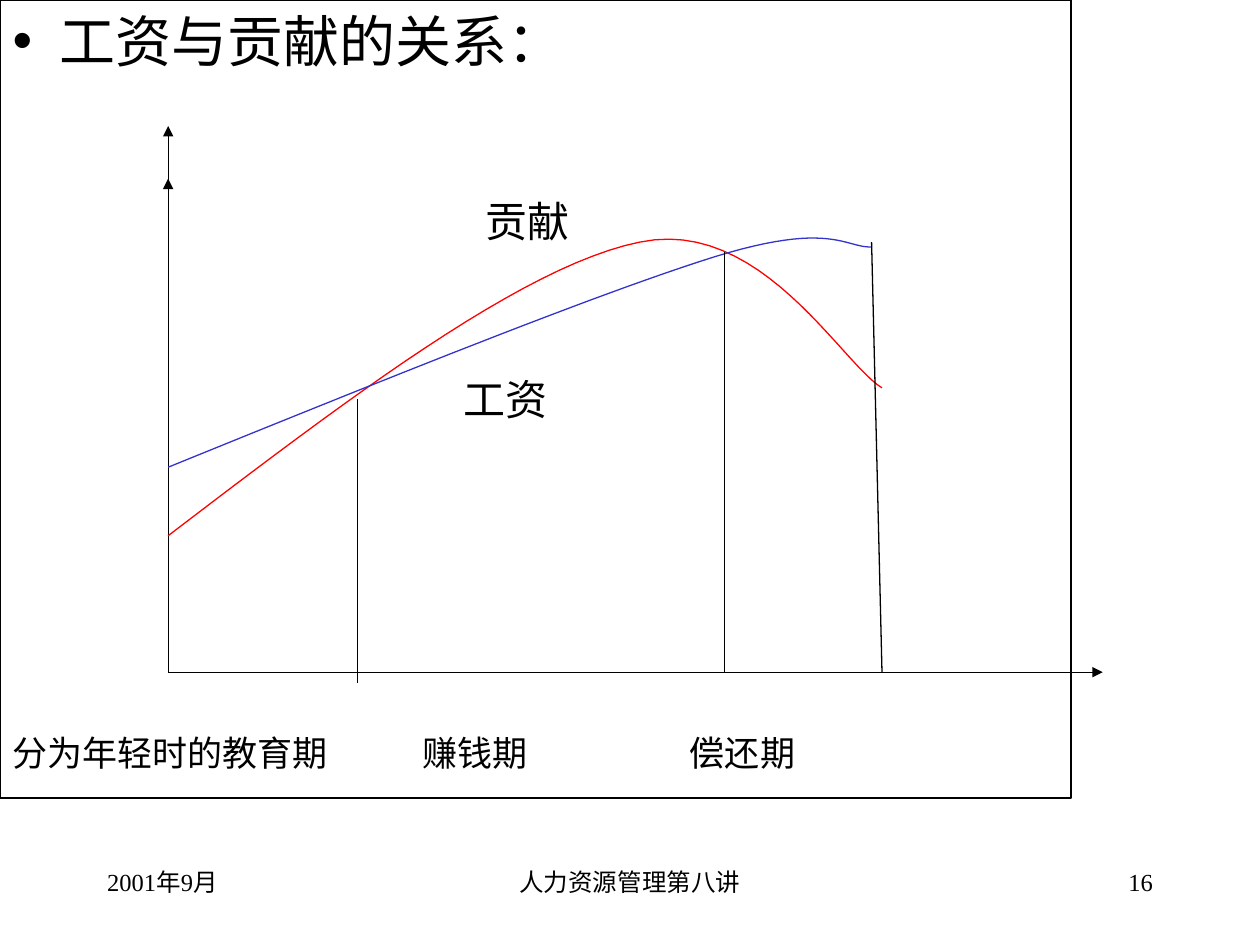
from dataclasses import dataclass

from lxml import etree
from pptx import Presentation
from pptx import util as u
from pptx.dml.color import RGBColor
from pptx.enum import shapes, text
from pptx.oxml.ns import qn

FONT = "Times New Roman"
BLACK, RED, BLUE = "000000", "FF0000", "3333CC"
LEFT, CENTER, RIGHT = text.PP_ALIGN.LEFT, text.PP_ALIGN.CENTER, text.PP_ALIGN.RIGHT
ORIGIN_X, ORIGIN_Y = 3.39, 13.55  # crossing of the axes, cm
PERIOD_TOP, FOOTER_TOP = 14.62, 17.36
CURVE_STEPS = 24


@dataclass
class Line:
    x1: float
    y1: float
    x2: float
    y2: float
    arrow: bool = False


@dataclass
class Label:
    words: str
    left: float
    top: float
    width: float
    size: int
    align: text.PP_ALIGN = LEFT


@dataclass
class Curve:
    color: str
    points: list  # start point, then three points for each Bezier section


AXES = [
    Line(ORIGIN_X, ORIGIN_Y, 22.23, ORIGIN_Y, arrow=True),
    Line(ORIGIN_X, ORIGIN_Y, ORIGIN_X, 2.54, arrow=True),
    Line(ORIGIN_X, 13.34, ORIGIN_X, 3.6, arrow=True),
]

BOUNDARIES = [
    Line(7.2, 8.05, 7.2, 8.89),
    Line(7.2, 8.68, 7.2, 13.76),
    Line(14.6, 5.08, 14.6, ORIGIN_Y),
    Line(17.57, 4.88, 17.78, ORIGIN_Y),
]

CURVES = [
    Curve(RED, [(ORIGIN_X, 10.8), (6.96, 8.08), (10.52, 5.36), (12.9, 4.88),
                (15.32, 4.37), (16.94, 7.29), (17.78, 7.82)]),
    Curve(BLUE, [(ORIGIN_X, 9.42), (7.7, 7.67), (12.04, 5.92), (14.4, 5.18),
                 (16.76, 4.45), (17.04, 5.0), (17.57, 4.98)]),
]

LABELS = [
    # curve names
    Label("工资", 9.1, 7.41, 3.39, 24),
    Label("贡献", 9.53, 3.81, 2.75, 24),
    # periods below the horizontal axis
    Label("分为年轻时的教育期", 0, PERIOD_TOP, 8, 20),
    Label("赚钱期", 8.26, PERIOD_TOP, 3.5, 20),
    Label("偿还期", 13.66, PERIOD_TOP, 3.5, 20),
    # footer
    Label("人力资源管理第八讲", 8.68, FOOTER_TOP, 8.04, 14, CENTER),
    Label("16", 18.2, FOOTER_TOP, 5.29, 14, RIGHT),
    Label("2001年9月", 1.91, FOOTER_TOP, 5.29, 14),
]


def rgb(color: str) -> RGBColor:
    return RGBColor.from_string(color)


def write(para, words: str, *, size: int, align=LEFT) -> None:
    para.alignment = align
    para.space_before = u.Pt(0)
    span = para.add_run()
    span.text = words
    span.font.size = u.Pt(size)
    span.font.name = FONT
    span.font.color.rgb = rgb(BLACK)


def style_line(line, color: str) -> None:
    line.color.rgb = rgb(color)
    line.width = u.Pt(0.75)


def set_bullet(para, bullet: str, indent: float) -> None:
    props = para._p.get_or_add_pPr()
    props.set("marL", str(u.Cm(indent)))
    props.set("indent", str(-u.Cm(indent)))
    etree.SubElement(props, qn("a:buChar"), char=bullet)


def draw_line(slide, item: Line) -> None:
    ends = [u.Cm(value) for value in (item.x1, item.y1, item.x2, item.y2)]
    connector = slide.shapes.add_connector(shapes.MSO_CONNECTOR.STRAIGHT, *ends)
    style_line(connector.line, BLACK)
    if item.arrow:
        etree.SubElement(connector.line._get_or_add_ln(), qn("a:tailEnd"), type="triangle")
    etree.SubElement(connector._element.spPr, qn("a:effectLst"))


def bezier(controls: list, t: float) -> tuple:
    weights = ((1 - t) ** 3, 3 * t * (1 - t) ** 2, 3 * t**2 * (1 - t), t**3)
    return tuple(u.Cm(sum(w * value for w, value in zip(weights, axis)))
                 for axis in zip(*controls))


def draw_curve(slide, curve: Curve) -> None:
    start, *points = [
        bezier(curve.points[first:first + 4], step / CURVE_STEPS)
        for first in range(0, len(curve.points) - 1, 3)
        for step in range(CURVE_STEPS + 1)
    ]
    builder = slide.shapes.build_freeform(*start)
    builder.add_line_segments(points, close=False)
    shape = builder.convert_to_shape()
    shape.shadow.inherit = False
    shape.fill.background()
    style_line(shape.line, curve.color)


def draw_label(slide, label: Label) -> None:
    box = slide.shapes.add_textbox(
        u.Cm(label.left), u.Cm(label.top), u.Cm(label.width), u.Cm(1.27))
    box.text_frame.word_wrap = True
    write(box.text_frame.paragraphs[0], label.words, size=label.size, align=label.align)


def fill_body(body) -> None:
    body.left, body.top = u.Cm(0), u.Cm(0)
    body.width, body.height = u.Cm(21.59), u.Cm(16.09)
    style_line(body.line, BLACK)
    frame = body.text_frame
    frame.auto_size = text.MSO_AUTO_SIZE.NONE
    frame.vertical_anchor = text.MSO_ANCHOR.TOP
    heading = frame.paragraphs[0]
    set_bullet(heading, "•", 0.95)
    write(heading, "工资与贡献的关系：", size=32)


def main() -> None:
    deck = Presentation()
    deck.slide_width, deck.slide_height = u.Cm(25.4), u.Cm(19.05)
    page = deck.slides.add_slide(deck.slide_layouts[1])

    # Framed list; the page has no separate title
    title = page.shapes.title._element
    title.getparent().remove(title)
    fill_body(page.placeholders[1])

    # Diagram, labels and footer
    for line in AXES:
        draw_line(page, line)
    for curve in CURVES:
        draw_curve(page, curve)
    for line in BOUNDARIES:
        draw_line(page, line)
    for label in LABELS:
        draw_label(page, label)

    deck.save("out.pptx")


if __name__ == "__main__":
    main()
